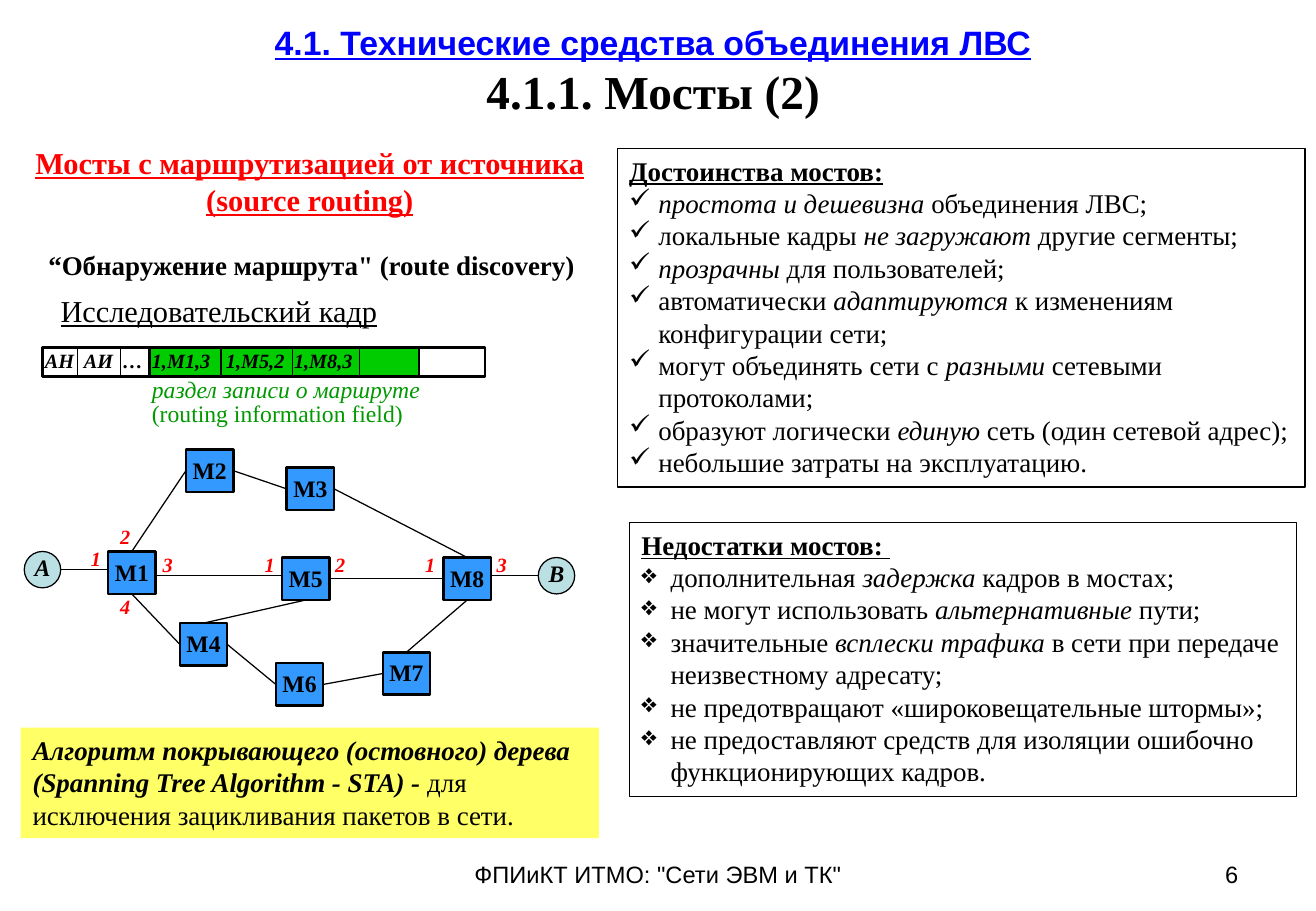
from lxml import etree
from pptx import Presentation
from pptx.dml.color import RGBColor
from pptx.enum import shapes, text
from pptx.oxml import ns
from pptx.util import Inches, Pt

BLACK = RGBColor(0, 0, 0)
RED = RGBColor(0xFF, 0, 0)
TITLE_BLUE = RGBColor(0, 0, 0xFF)
BRIDGE_BLUE = RGBColor(0x33, 0x99, 0xFF)
STATION = RGBColor(0xBB, 0xE0, 0xE3)
YELLOW = RGBColor(0xFF, 0xFF, 0x66)
ROUTE_GREEN = RGBColor(0, 0xCC, 0)
NOTE_GREEN = RGBColor(0, 0x99, 0)
SERIF = "Times New Roman"
SANS = "Arial"
LEFT, CENTER, RIGHT = text.PP_ALIGN.LEFT, text.PP_ALIGN.CENTER, text.PP_ALIGN.RIGHT
RECT, OVAL = shapes.MSO_SHAPE.RECTANGLE, shapes.MSO_SHAPE.OVAL
TOP, WEST, BOTTOM, EAST = range(4)
TIGHT = (0.02, 0.01)

BRIDGE_SIZE = (0.39, 0.35)
BRIDGES = {
    "М1": (0.89, 4.54), "М2": (1.53, 3.7), "М4": (1.48, 5.13), "М5": (2.32, 4.59),
    "М8": (3.65, 4.59), "М6": (2.27, 5.46), "М3": (2.36, 3.85), "М7": (3.15, 5.37),
}
BRIDGE_LINKS = [
    ("М1", TOP, "М2", WEST), ("М2", EAST, "М3", WEST), ("М1", BOTTOM, "М4", WEST),
    ("М4", TOP, "М5", BOTTOM), ("М4", EAST, "М6", WEST), ("М5", EAST, "М8", WEST),
    ("М3", EAST, "М8", TOP), ("М6", EAST, "М7", WEST), ("М7", TOP, "М8", BOTTOM),
]
LEVEL_LINKS = [(0.49, 0.89, 4.69), (1.28, 2.32, 4.74), (4.04, 4.43, 4.74)]
STATIONS = {"А": (0.2, 4.54), "В": (4.43, 4.59)}
PORTS = [
    ("1", 0.69, 4.49), ("2", 0.93, 4.31), ("3", 1.28, 4.54), ("4", 0.93, 4.88),
    ("1", 2.12, 4.54), ("2", 2.7, 4.54), ("1", 3.44, 4.54), ("3", 4.03, 4.54),
]
ADVANTAGES = [
    "*простота и дешевизна *объединения ЛВС;",
    "локальные кадры *не загружают *другие сегменты;",
    "*прозрачны* для пользователей;",
    "автоматически *адаптируются* к изменениям конфигурации сети;",
    "могут объединять сети с *разными* сетевыми протоколами;",
    "образуют логически *единую* сеть (один сетевой адрес);",
    "небольшие затраты на эксплуатацию.",
]
DRAWBACKS = [
    "дополнительная *задержка *кадров в мостах;",
    "не могут использовать *альтернативные* пути;",
    "значительные *всплески трафика *в сети при передаче неизвестному адресату;",
    "не предотвращают «широковещательные штормы»;",
    "не предоставляют средств для изоляции ошибочно функционирующих кадров.",
]


def add_run(paragraph, words, size, style="", color=BLACK, font=SERIF):
    run = paragraph.add_run()
    run.text = words
    run.font.name = font
    run.font.size = Pt(size)
    run.font.bold = "b" in style
    run.font.italic = "i" in style
    run.font.underline = "u" in style
    run.font.color.rgb = color


def prepare_text(shape, align=LEFT, insets=(0.1, 0.05)):
    frame = shape.text_frame
    frame.word_wrap = True
    frame.vertical_anchor = text.MSO_ANCHOR.TOP
    frame.margin_left = frame.margin_right = Inches(insets[0])
    frame.margin_top = frame.margin_bottom = Inches(insets[1])
    frame.paragraphs[0].alignment = align
    return frame.paragraphs[0]


def add_label(slide, box, words, size, style="", color=BLACK, align=LEFT,
              font=SERIF, insets=(0.1, 0.05)):
    label = slide.shapes.add_textbox(*map(Inches, box))
    paragraph = prepare_text(label, align, insets)
    add_run(paragraph, words, size, style, color, font)
    return paragraph


def add_block(slide, box, kind=RECT, fill=None, width=None):
    block = slide.shapes.add_shape(kind, *map(Inches, box))
    block.shadow.inherit = False
    if fill is None:
        block.fill.background()
    else:
        block.fill.solid()
        block.fill.fore_color.rgb = fill
    if width is None:
        block.line.fill.background()
    else:
        block.line.color.rgb = BLACK
        block.line.width = Pt(width)
    return block


def add_line(slide, start=(0, 0), end=(0, 0)):
    line = slide.shapes.add_connector(
        shapes.MSO_CONNECTOR.STRAIGHT, *map(Inches, (*start, *end)))
    line.line.color.rgb = BLACK
    line.line.width = Pt(0.75)
    etree.SubElement(line._element.spPr, ns.qn("a:effectLst"))
    return line


def add_bullet(paragraph, mark):
    properties = paragraph._p.get_or_add_pPr()
    properties.set("marL", str(Inches(0.24)))
    properties.set("indent", str(-Inches(0.24)))
    etree.SubElement(properties, ns.qn("a:buChar")).set("char", mark)


def add_list(slide, box, heading, mark, items):
    panel = add_block(slide, box, width=0.75)
    add_run(prepare_text(panel), heading, 16, "bu")
    for item in items:
        paragraph = panel.text_frame.add_paragraph()
        paragraph.alignment = LEFT
        add_bullet(paragraph, mark)
        for index, part in enumerate(item.split("*")):
            if part:
                add_run(paragraph, part, 16, "i" if index % 2 else "")


def add_frame_field(slide, box, cells, stops, fill=None):
    field = add_block(slide, box, fill=fill, width=1.5)
    paragraph = prepare_text(field, insets=TIGHT)
    tabs = etree.SubElement(paragraph._p.get_or_add_pPr(), ns.qn("a:tabLst"))
    for stop in stops:
        tab = etree.SubElement(tabs, ns.qn("a:tab"))
        tab.set("pos", str(Inches(stop)))
        tab.set("algn", "l")
    add_run(paragraph, "\t".join(cells), 12, "bi")


def add_explorer_frame(slide):
    add_label(slide, (0.4, 2.36, 3.47, 0.4), "Исследовательский кадр", 18, "u")
    add_frame_field(slide, (0.35, 2.86, 3.64, 0.24), ["АН", "АИ", "…"], [0.32, 0.64])
    add_frame_field(slide, (1.23, 2.86, 2.22, 0.24), ["1,М1,3", "1,М5,2", "1,М8,3"],
                    [0.61, 1.17], ROUTE_GREEN)
    note = add_label(slide, (1.23, 3.11, 2.31, 0.42), "раздел записи о маршруте ", 14,
                     "i", NOTE_GREEN, insets=TIGHT)
    note.line_spacing = 0.85
    add_run(note, "(routing information field)", 14, color=NOTE_GREEN)
    for x in (0.64, 0.99, 1.82, 2.41, 2.96):
        add_line(slide, (x, 2.86), (x, 3.11))


def add_network(slide):
    bridges = {}
    for name, corner in BRIDGES.items():
        bridges[name] = add_block(slide, (*corner, *BRIDGE_SIZE), fill=BRIDGE_BLUE, width=1.5)
        add_run(prepare_text(bridges[name], CENTER, (0.02, 0.05)), name, 14, "b")
    for source, source_side, target, target_side in BRIDGE_LINKS:
        link = add_line(slide)
        link.begin_connect(bridges[source], source_side)
        link.end_connect(bridges[target], target_side)
    for start, end, y in LEVEL_LINKS:
        add_line(slide, (start, y), (end, y))
    for name, corner in STATIONS.items():
        add_block(slide, (*corner, 0.3, 0.3), OVAL, STATION, 0.75)
        add_label(slide, (*corner, 0.3, 0.26), name, 14, "bi", align=CENTER, insets=TIGHT)
    for port, x, y in PORTS:
        add_label(slide, (x, y, 0.2, 0.22), port, 12, "bi", RED, CENTER, insets=TIGHT)


def main():
    deck = Presentation()
    deck.slide_width, deck.slide_height = Inches(10.83), Inches(7.5)
    slide = deck.slides.add_slide(deck.slide_layouts[6])

    add_label(slide, (3.7, 7.03, 3.43, 0.32), 'ФПИиКТ ИТМО: "Сети ЭВМ и ТК"', 14,
              align=CENTER, font=SANS)
    add_label(slide, (7.76, 7.03, 2.53, 0.32), "6", 14, align=RIGHT, font=SANS)
    title = add_label(slide, (0.14, 0.13, 10.47, 0.94),
                      "4.1. Технические средства объединения ЛВС", 20, "bu",
                      TITLE_BLUE, CENTER, SANS)
    title.add_line_break()
    add_run(title, "4.1.1. Мосты (2)", 28, "b")

    add_label(slide, (0.17, 1.14, 4.76, 0.71),
              "Мосты с маршрутизацией от источника (source routing)", 18, "bu", RED, CENTER)
    add_label(slide, (0.3, 2, 4.73, 0.37), '“Обнаружение маршрута" (route discovery)', 16, "b")
    add_explorer_frame(slide)
    add_network(slide)
    add_list(slide, (5.08, 1.22, 5.66, 2.79), "Достоинства мостов:", "✓", ADVANTAGES)
    add_list(slide, (5.18, 4.3, 5.49, 2.26), "Недостатки мостов: ", "❖", DRAWBACKS)

    algorithm = prepare_text(add_block(slide, (0.17, 5.99, 4.76, 0.91), fill=YELLOW))
    add_run(algorithm, "Алгоритм покрывающего (остовного) дерева "
            "(Spanning Tree Algorithm - STA) - ", 16, "bi")
    add_run(algorithm, "для исключения зацикливания пакетов в сети.", 16)
    deck.save("out.pptx")


if __name__ == "__main__":
    main()
